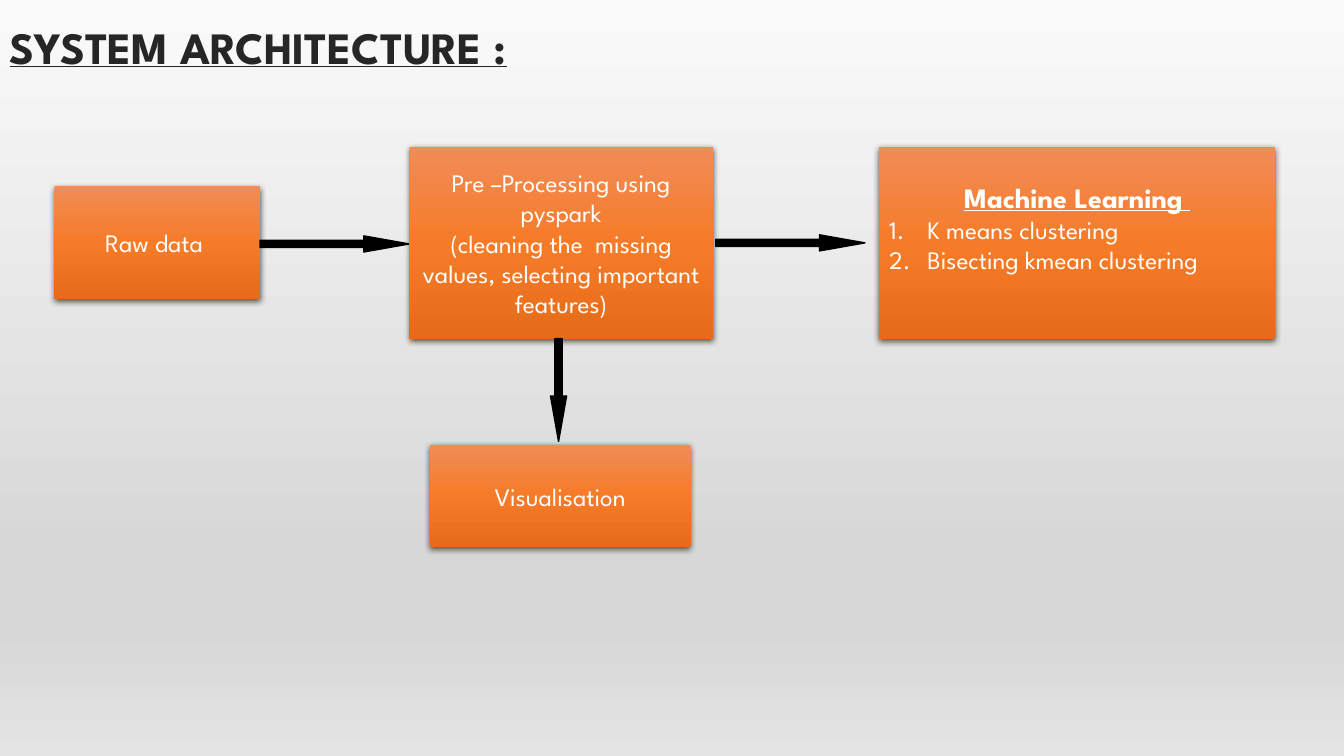
from lxml import etree
from pptx import Presentation
from pptx.dml.color import RGBColor
from pptx.enum.shapes import MSO_SHAPE
from pptx.enum.text import MSO_ANCHOR, PP_ALIGN
from pptx.oxml.ns import qn
from pptx.util import Inches, Pt

RECT, ARROW = MSO_SHAPE.RECTANGLE, MSO_SHAPE.RIGHT_ARROW
MIDDLE, BOTTOM = MSO_ANCHOR.MIDDLE, MSO_ANCHOR.BOTTOM
LEFT, CENTER = PP_ALIGN.LEFT, PP_ALIGN.CENTER

FONT = "League Spartan"
COLORS = {"title": "262626", "text": "FFFFFF", "arrow": "000000", "shadow": "000000"}
BACKDROP = [(0, "FAFAFA"), (74, "D7D7D7"), (83, "D7D7D7"), (100, "E4E4E4")]
ORANGE = [(0, "F18C57"), (50, "F67B28"), (100, "E56C19")]


def add_xml(parent, tag, **attrs):
    return etree.SubElement(parent, qn(tag), {k: str(v) for k, v in attrs.items()})


def fill_downward(fill, owner, stops):
    """Give a fill a top-to-bottom gradient; owner is the XML element holding it."""
    fill.gradient()
    fill.gradient_angle = 270
    gs_list = next(owner.iter(qn("a:gsLst")))
    for gs in list(gs_list):
        gs_list.remove(gs)
    for percent, color in stops:
        gs = add_xml(gs_list, "a:gs", pos=percent * 1000)
        add_xml(gs, "a:srgbClr", val=color)


class Diagram:
    """Draws on one slide; lengths are percentages of its width and height."""

    def __init__(self, prs):
        self.col, self.row = prs.slide_width / 100, prs.slide_height / 100
        self.slide = prs.slides.add_slide(prs.slide_layouts[6])
        fill_downward(self.slide.background.fill, self.slide.element, BACKDROP)

    def place(self, x, y, w, h):
        return [round(v) for v in (x * self.col, y * self.row, w * self.col, h * self.row)]

    def style(self, p, size, color="text", align=CENTER, strong=False):
        p.alignment = align
        for r in p.runs:
            r.font.name, r.font.size = FONT, Pt(size)
            r.font.bold = r.font.underline = strong
            r.font.color.rgb = RGBColor.from_string(COLORS[color])

    def title(self, text, *box):
        tf = self.slide.shapes.add_textbox(*self.place(*box)).text_frame
        tf.word_wrap = True
        tf.vertical_anchor = BOTTOM
        tf.text = text
        p = tf.paragraphs[0]
        p.line_spacing = 0.9
        self.style(p, 32, "title", LEFT, True)

    def box(self, text, *box):
        sp = self.slide.shapes.add_shape(RECT, *self.place(*box))
        fill_downward(sp.fill, sp.element, ORANGE)
        sp.line.fill.background()
        sp.shadow.inherit = False
        effects = sp.element.spPr.find(qn("a:effectLst"))
        shadow = add_xml(effects, "a:outerShdw", blurRad=Pt(4.5), dist=Pt(1.5),
                         dir=5400000, algn="ctr", rotWithShape=0)
        color = add_xml(shadow, "a:srgbClr", val=COLORS["shadow"])
        add_xml(color, "a:alpha", val=63000)
        tf = sp.text_frame
        tf.word_wrap = True
        tf.vertical_anchor = MIDDLE
        tf.text = text
        for p in tf.paragraphs:
            self.style(p, 18)
        return tf

    def numbered_box(self, heading, items, *box):
        tf = self.box("\n".join([heading, *items]), *box)
        tf.margin_bottom = Inches(0.35)
        first, *rest = tf.paragraphs
        self.style(first, 20, strong=True)
        for p in rest:
            self.style(p, 18, align=LEFT)
            pPr = p._p.get_or_add_pPr()
            pPr.set("marL", str(Inches(0.38)))
            pPr.set("indent", str(-Inches(0.38)))
            add_xml(pPr, "a:buFont", typeface="+mj-lt")
            add_xml(pPr, "a:buAutoNum", type="arabicPeriod")

    def arrow(self, cx, cy, length, rotation=0):
        """Centre an arrow on (cx, cy); length is in columns, before rotation."""
        h = 2.13
        sp = self.slide.shapes.add_shape(
            ARROW, *self.place(cx - length / 2, cy - h / 2, length, h))
        sp.adjustments[0], sp.adjustments[1] = 0.45, 2.821
        sp.rotation = rotation
        sp.shadow.inherit = False
        sp.fill.solid()
        sp.fill.fore_color.rgb = RGBColor.from_string(COLORS["arrow"])
        sp.line.color.rgb = RGBColor.from_string(COLORS["arrow"])
        sp.line.width = Pt(1)


def main():
    prs = Presentation()
    prs.slide_width, prs.slide_height = Inches(13.33), Inches(7.5)
    d = Diagram(prs)
    d.title("SYSTEM ARCHITECTURE :", 0, 1.2, 54.84, 9.2)
    top, height = 19.47, 25.33
    d.box("Raw data ", 4.05, 24.67, 15.3, 14.93)
    d.arrow(24.91, 32.27, 11.1)
    d.box("Pre –Processing using pyspark\n"
          "(cleaning the  missing values, selecting important features)",
          30.46, top, 22.58, height)
    d.arrow(58.81, 32.13, 11.1)
    d.numbered_box("Machine Learning ",
                   ["K means clustering", "Bisecting kmean clustering"],
                   65.42, top, 29.48, height)
    d.arrow(41.56, 51.6, 7.65, rotation=90)
    d.box("Visualisation", 31.96, 58.8, 19.43, 13.6)
    prs.save("out.pptx")


if __name__ == "__main__":
    main()
